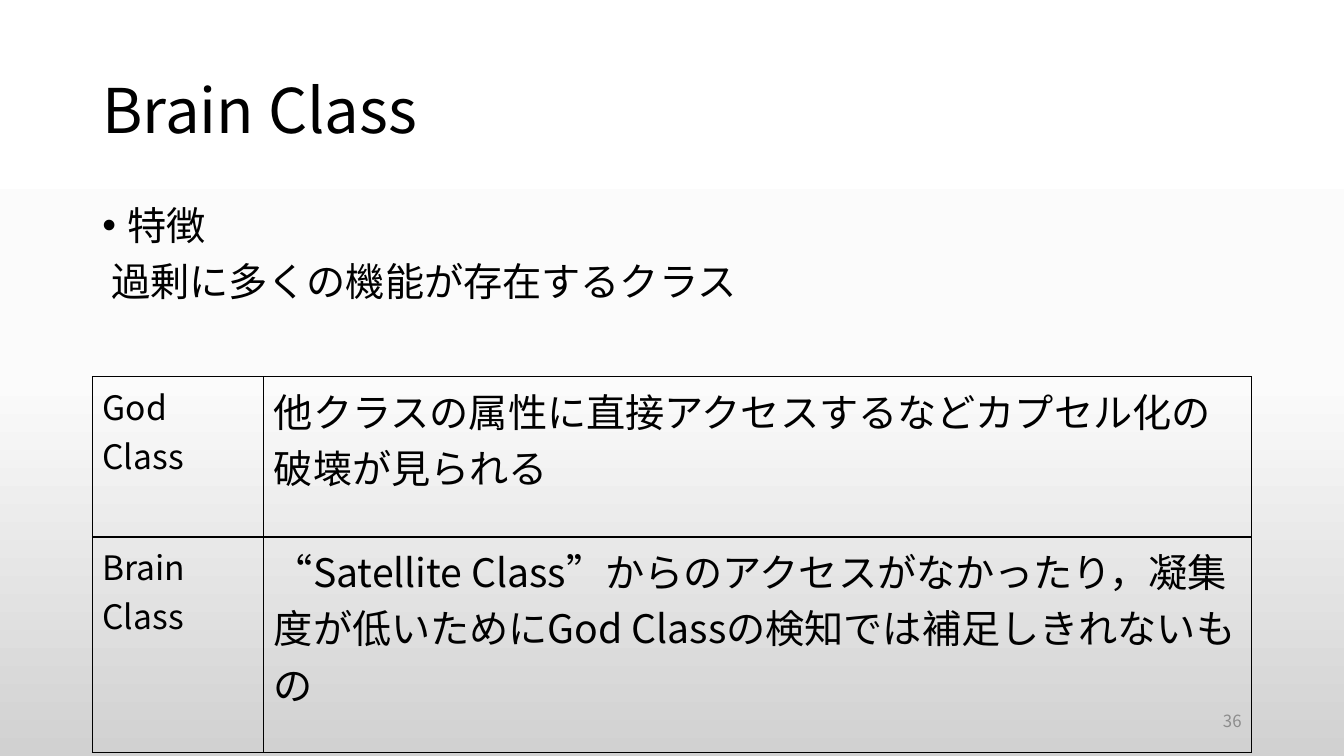
"""Build the Brain Class slide with its class comparison table."""
from lxml import etree
from pptx import Presentation
from pptx.dml.color import RGBColor
from pptx.enum import text
from pptx.oxml import ns
from pptx.util import Cm, Pt

TITLE = "Brain Class"
BODY = ["特徴", " 過剰に多くの機能が存在するクラス"]
NUMBER = "36"
ROWS = [
    ("God Class", "他クラスの属性に直接アクセスするなどカプセル化の破壊が見られる"),
    ("Brain Class", "“Satellite Class”からのアクセスがなかったり，凝集度が低いために"
                    "God Classの検知では補足しきれないもの"),
]
COL_WIDTHS = (4.32, 24.89)
ROW_HEIGHTS = (4.04, 5.44)
COL_SIZES = (24, 28)
LEFT, WIDTH = 2.33, 29.21
FONT = "Noto Sans CJK JP"
BLACK = RGBColor(0, 0, 0)
GREY = RGBColor(0x8C, 0x8C, 0x8C)
GRADIENT = [(0, RGBColor(0xFF, 0xFF, 0xFF)), (50, RGBColor(0xFB, 0xFB, 0xFB)),
            (100, RGBColor(0xD1, 0xD1, 0xD1))]


def add(parent, tag, **attrs):
    return etree.SubElement(parent, ns.qn(tag), {k: str(v) for k, v in attrs.items()})


def add_color(parent, color):
    add(parent, "a:srgbClr", val=color)


def style(p, size, color=BLACK):
    for r in p.runs:
        r.font.size, r.font.name = Pt(size), FONT
        r.font.color.rgb = color
        r.font.language_id = None
        add(r.font._element, "a:ea", typeface=FONT)


def add_text(s, box, lines, size, color=BLACK, anchor=text.MSO_ANCHOR.MIDDLE):
    tf = s.shapes.add_textbox(*map(Cm, box)).text_frame
    tf.word_wrap, tf.vertical_anchor = True, anchor
    tf.text = "\n".join(lines)
    for p in tf.paragraphs:
        style(p, size, color)
    return tf.paragraphs


def set_background(s):
    fill = s.background.fill
    fill.gradient()
    fill.gradient_angle = 270
    stops = s.element.find(".//" + ns.qn("a:gsLst"))
    for stop in list(stops):
        stops.remove(stop)
    for pos, color in GRADIENT:
        add_color(add(stops, "a:gs", pos=pos * 1000), color)


def add_table(s):
    shape = s.shapes.add_table(len(ROWS), len(COL_WIDTHS), Cm(LEFT), Cm(9.49),
                               Cm(WIDTH), Cm(sum(ROW_HEIGHTS)))
    table = shape.table
    table.first_row = table.horz_banding = False
    for col, width in zip(table.columns, COL_WIDTHS):
        col.width = Cm(width)
    for row, height, words in zip(table.rows, ROW_HEIGHTS, ROWS):
        row.height = Cm(height)
        for cell, content, size in zip(row.cells, words, COL_SIZES):
            cell.text = content
            style(cell.text_frame.paragraphs[0], size)
            tc_pr = cell._tc.get_or_add_tcPr()
            for side in "LRTB":
                ln = add(tc_pr, "a:ln" + side, w=Pt(1))
                add_color(add(ln, "a:solidFill"), BLACK)
            cell.fill.background()


def main():
    prs = Presentation()
    prs.slide_width, prs.slide_height = Cm(33.87), Cm(19.05)
    s = prs.slides.add_slide(prs.slide_layouts[6])
    set_background(s)

    title, = add_text(s, (LEFT, 1.01, WIDTH, 3.68), [TITLE], 44)
    title.line_spacing = 0.9

    body = add_text(s, (LEFT, 5.07, WIDTH, 12.09), BODY, 28, anchor=text.MSO_ANCHOR.TOP)
    for p in body:
        p.line_spacing, p.space_before = 0.9, Pt(10)
    p_pr = body[0]._p.get_or_add_pPr()
    p_pr.set("marL", str(Cm(0.64)))
    p_pr.set("indent", str(Cm(-0.64)))
    add(p_pr, "a:buFont", typeface="Arial")
    add(p_pr, "a:buChar", char="•")

    number, = add_text(s, (23.92, 17.66, 7.62, 1.01), [NUMBER], 12, GREY)
    number.alignment = text.PP_ALIGN.RIGHT

    add_table(s)
    prs.save("out.pptx")


if __name__ == "__main__":
    main()
